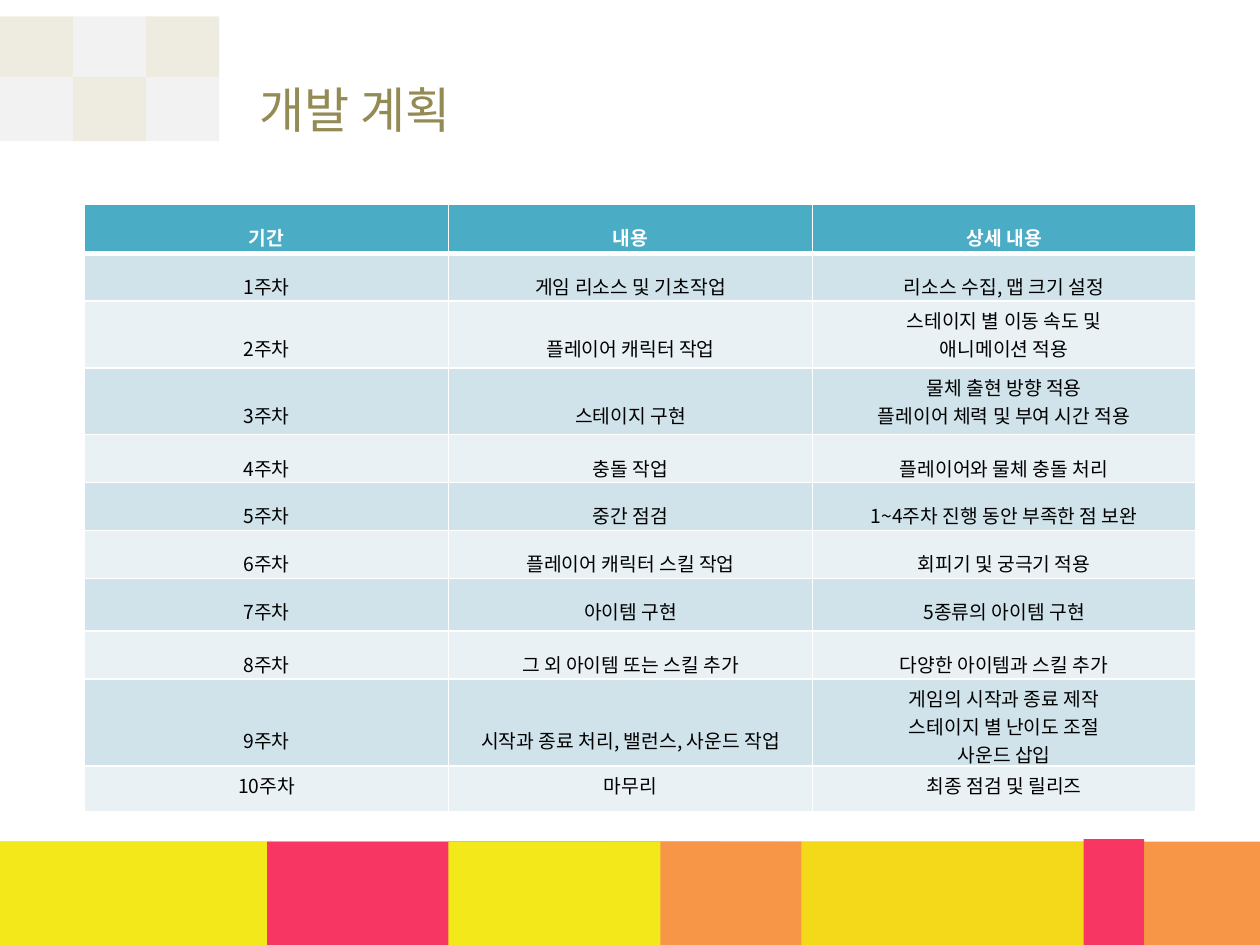
from lxml import etree
from pptx import Presentation
from pptx.dml.color import RGBColor
from pptx.enum import shapes, text
from pptx.oxml import ns
from pptx.util import Inches, Pt

FONT = "Noto Sans CJK KR"
WHITE = "FFFFFF"


def color(value):
    return RGBColor.from_string(value)


def child(parent, tag, **attributes):
    return etree.SubElement(parent, ns.qn(tag), attributes)


def assign(target, values):
    for name, value in values.items():
        setattr(target, name, value)


class SlideBuilder:
    def __init__(self, slide):
        self.slide = slide
        self.font = FONT

    def blocks(self, rows):
        group = self.slide.shapes.add_group_shape()
        for left, top, width, height, fill in rows:
            box = group.shapes.add_shape(
                shapes.MSO_SHAPE.RECTANGLE, *map(Inches, (left, top, width, height)))
            box.shadow.inherit = False
            box.fill.solid()
            box.fill.fore_color.rgb = color(fill)
            box.line.fill.background()

    def add_span(self, para, words, size, tint, bold=False):
        span = para.add_run()
        span.text = words
        assign(span.font, {"name": self.font, "size": Pt(size), "bold": bold})
        span.font.color.rgb = color(tint)
        child(span.font._element, "a:ea", typeface=self.font)

    def title(self, words, number, left, top, width, height):
        box = self.slide.shapes.add_textbox(*map(Inches, (left, top, width, height)))
        assign(box.text_frame, {"word_wrap": True,
                                "auto_size": text.MSO_AUTO_SIZE.SHAPE_TO_FIT_TEXT})
        para = box.text_frame.paragraphs[0]
        style = para._p.get_or_add_pPr()
        style.set("marL", "0")
        style.set("indent", str(-Inches(0.36)))
        child(child(style, "a:buClr"), "a:srgbClr", val=WHITE)
        child(style, "a:buSzPct", val="125000")
        child(style, "a:buFont", typeface=self.font)
        child(style, "a:buAutoNum", type="arabicPlain", startAt=str(number))
        self.add_span(para, words, 28, "948A54")

    def border(self, cell, sides):
        style = cell._tc.get_or_add_tcPr()
        for index, (side, width) in enumerate(sides.items()):
            line = etree.Element(ns.qn(f"a:ln{side}"), w=str(Pt(width)))
            child(child(line, "a:solidFill"), "a:srgbClr", val=WHITE)
            style.insert(index, line)

    def table(self, rows, widths, left, top):
        heights = [row[0] for row in rows]
        frame = self.slide.shapes.add_table(
            len(rows), len(widths),
            *map(Inches, (left, top, sum(widths), sum(heights))))
        table = frame.table
        for column, width in zip(table.columns, widths):
            column.width = Inches(width)
        for index, (height, spacing, *words) in enumerate(rows):
            table.rows[index].height = Inches(height)
            for column, entry in enumerate(words):
                self.cell(table.cell(index, column), entry, spacing, index)

    def cell(self, cell, entry, spacing, index):
        header = index == 0
        assign(cell, {"margin_left": Inches(0.07), "margin_right": Inches(0.07),
                      "margin_top": Inches(0.04), "margin_bottom": 0,
                      "vertical_anchor": text.MSO_ANCHOR.TOP})
        cell.fill.solid()
        cell.fill.fore_color.rgb = color(
            "4BACC6" if header else ("E9F1F5", "D0E3EA")[index % 2])
        sides = {"L": 1, "R": 1, "T": 1, "B": 3} if header else {"L": 1, "R": 1, "B": 1}
        self.border(cell, sides)
        lines = entry.split("\n")
        for number, words in enumerate(lines):
            frame = cell.text_frame
            para = frame.add_paragraph() if number else frame.paragraphs[0]
            assign(para, {"alignment": text.PP_ALIGN.CENTER,
                          "line_spacing": spacing if len(lines) == 1 else 1.0})
            self.add_span(para, words, 11, WHITE if header else "000000", header)


ORANGE, YELLOW, PINK, GOLD = "F79646", "F2E81A", "F83664", "F3D919"
BAND = [(0, 10.16, ORANGE), (0, 2.68, YELLOW), (2.12, 3.6, PINK),
        (4.84, 4.24, GOLD), (3.56, 2.64, YELLOW), (5.24, 1.12, ORANGE)]
CHECKS = ("EEECE1", "F2F2F2")

PLAN = [
    (0.39, 1.5, "기간", "내용", "상세 내용"),
    (0.38, 1.5, "1주차", "게임 리소스 및 기초작업", "리소스 수집, 맵 크기 설정"),
    (0.53, 2.0, "2주차", "플레이어 캐릭터 작업", "스테이지 별 이동 속도 및\n애니메이션 적용"),
    (0.53, 2.0, "3주차", "스테이지 구현", "물체 출현 방향 적용\n플레이어 체력 및 부여 시간 적용"),
    (0.38, 1.5, "4주차", "충돌 작업", "플레이어와 물체 충돌 처리"),
    (0.38, 1.5, "5주차", "중간 점검", "1~4주차 진행 동안 부족한 점 보완"),
    (0.38, 1.5, "6주차", "플레이어 캐릭터 스킬 작업", "회피기 및 궁극기 적용"),
    (0.42, 1.5, "7주차", "아이템 구현", "5종류의 아이템 구현"),
    (0.38, 1.5, "8주차", "그 외 아이템 또는 스킬 추가", "다양한 아이템과 스킬 추가"),
    (0.69, 2.5, "9주차", "시작과 종료 처리, 밸런스, 사운드 작업",
     "게임의 시작과 종료 제작\n스테이지 별 난이도 조절\n사운드 삽입"),
    (0.36, 1.0, "10주차", "마무리", "최종 점검 및 릴리즈"),
]


def main():
    deck = Presentation()
    assign(deck, {"slide_width": Inches(10), "slide_height": Inches(7.5)})
    page = SlideBuilder(deck.slides.add_slide(deck.slide_layouts[6]))
    page.blocks([(left, 6.68, width, 0.84, fill) for left, width, fill in BAND]
                + [(8.6, 6.66, 0.48, 0.86, PINK)])
    page.blocks([(0.58 * column, 0.13 + 0.48 * row, 0.58, 0.51, CHECKS[(row + column) % 2])
                 for row in range(2) for column in range(3)])
    page.title("개발 계획", 4, 1.69, 0.58, 6.14, 0.57)
    page.table(PLAN, (2.89, 2.89, 3.04), 0.67, 1.62)
    deck.save("out.pptx")


if __name__ == "__main__":
    main()
